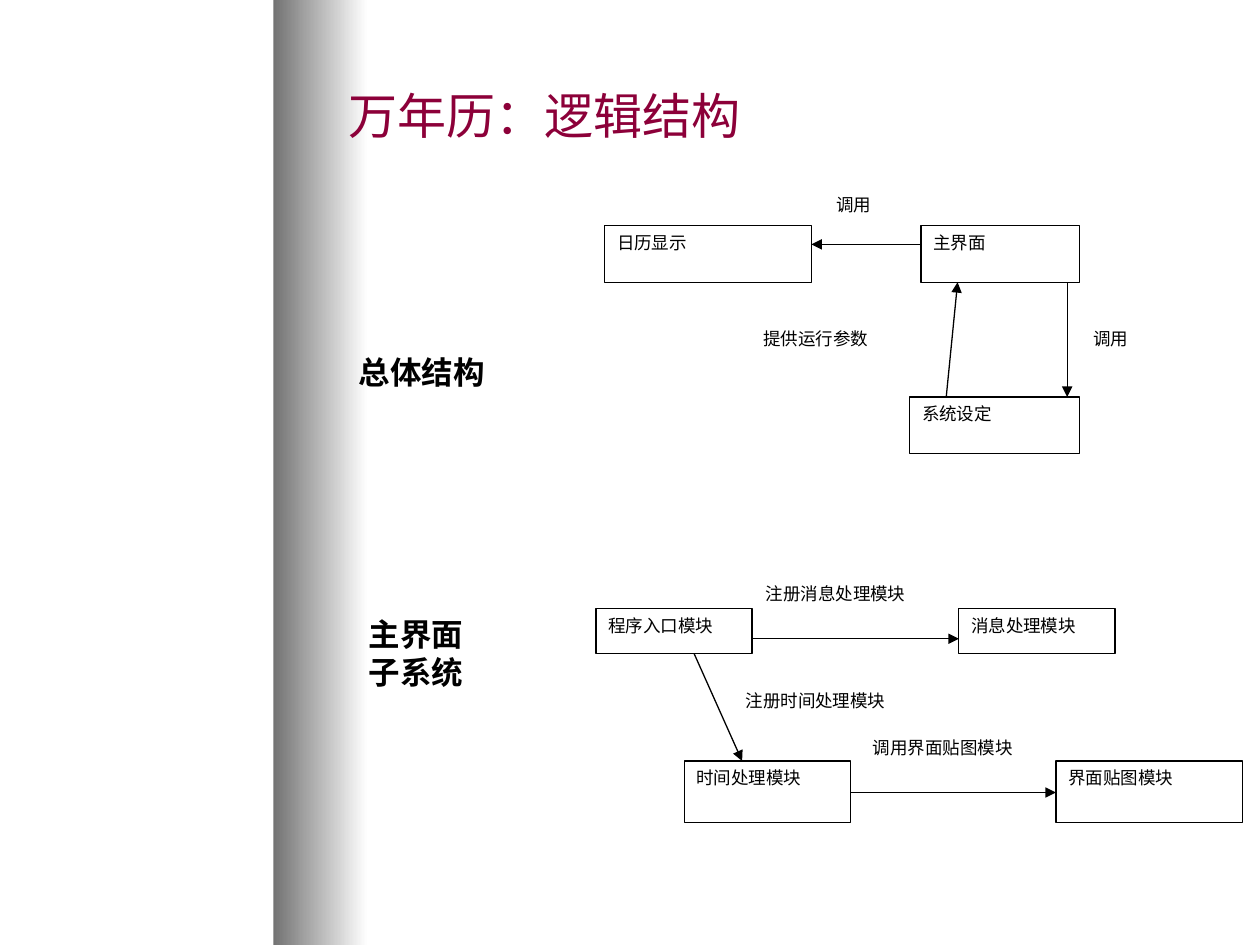
from lxml.etree import SubElement
from pptx import Presentation
from pptx.dml.color import RGBColor
from pptx.enum.shapes import MSO_CONNECTOR, MSO_SHAPE
from pptx.enum.text import MSO_ANCHOR, PP_ALIGN
from pptx.oxml.ns import qn
from pptx.util import Inches, Pt

COLORS = {"title": "8C0039", "ink": "000000", "paper": "FFFFFF", "shade": "737373"}

# Parts of each diagram, in inches from its top left corner
OVERALL_STRUCTURE = {
    "boxes": [
        ("主界面", (2.51, 0.3, 1.26, 0.45)),
        ("日历显示", (0, 0.3, 1.64, 0.45)),
        ("系统设定", (2.42, 1.66, 1.35, 0.45)),
    ],
    "arrows": [
        ((2.71, 1.66), (2.8, 0.75)),
        ((3.67, 0.75), (3.67, 1.66)),
        ((2.51, 0.45), (1.64, 0.45)),
    ],
    "labels": [
        ("提供运行参数", (1.16, 1.06, 1.45, 0.45)),
        ("调用", (3.78, 1.06, 0.68, 0.45)),
        ("调用", (1.74, 0, 0.68, 0.43)),
    ],
}
MAIN_SUBSYSTEM = {
    "boxes": [
        ("程序入口模块", (0, 0.25, 1.24, 0.36)),
        ("消息处理模块", (2.88, 0.25, 1.24, 0.36)),
        ("界面贴图模块", (3.65, 1.46, 1.48, 0.49)),
        ("时间处理模块", (0.7, 1.46, 1.32, 0.49)),
    ],
    "arrows": [
        ((1.24, 0.49), (2.88, 0.49)),
        ((0.78, 0.61), (1.16, 1.46)),
        ((2.02, 1.71), (3.65, 1.71)),
    ],
    "labels": [
        ("注册消息处理模块", (1.25, 0, 1.48, 0.47)),
        ("注册时间处理模块", (1.09, 0.85, 1.48, 0.49)),
        ("调用界面贴图模块", (2.1, 1.22, 1.48, 0.36)),
    ],
}


def color(name):
    return RGBColor.from_string(COLORS[name])


def write(shape, text, size, font, color_name="ink", bold=False):
    """Fill a shape with one paragraph and return that paragraph."""
    text_frame = shape.text_frame
    text_frame.word_wrap = True
    text_frame.text = text
    paragraph = text_frame.paragraphs[0]
    run_font = paragraph.runs[0].font
    run_font.size, run_font.name, run_font.bold = Pt(size), font, bold
    run_font.color.rgb = color(color_name)
    return paragraph


def add_side_band(slide, left, top, width, height):
    band = slide.shapes.add_shape(
        MSO_SHAPE.RECTANGLE, Inches(left), Inches(top), Inches(width), Inches(height))
    band.shadow.inherit = False
    band.line.fill.background()
    band.fill.gradient()
    band.fill.gradient_angle = 0
    for stop, name in zip(band.fill.gradient_stops, ("shade", "paper")):
        stop.color.rgb = color(name)


def add_title(slide, text, left, top, width, height):
    title = slide.shapes.add_textbox(
        Inches(left), Inches(top), Inches(width), Inches(height))
    title.text_frame.vertical_anchor = MSO_ANCHOR.MIDDLE
    write(title, text, 28, "Arial", "title")


def add_heading(slide, text, left, top, width, height):
    heading = slide.shapes.add_textbox(
        Inches(left), Inches(top), Inches(width), Inches(height))
    write(heading, text, 18, "Arial", bold=True).space_before = Pt(11.2)


def add_box(slide, text, left, top, width, height, outlined):
    box = slide.shapes.add_shape(
        MSO_SHAPE.RECTANGLE, Inches(left), Inches(top), Inches(width), Inches(height))
    box.shadow.inherit = False
    box.fill.solid()
    box.fill.fore_color.rgb = color("paper")
    if outlined:
        box.line.color.rgb = color("ink")
        box.line.width = Pt(0.75)
    else:
        box.line.fill.background()
    box.text_frame.vertical_anchor = MSO_ANCHOR.TOP
    write(box, text, 10, "Times New Roman").alignment = PP_ALIGN.JUSTIFY


def add_arrow(slide, start_x, start_y, end_x, end_y):
    arrow = slide.shapes.add_connector(
        MSO_CONNECTOR.STRAIGHT,
        Inches(start_x), Inches(start_y), Inches(end_x), Inches(end_y))
    arrow.line.color.rgb = color("ink")
    arrow.line.width = Pt(0.75)
    SubElement(arrow.line._get_or_add_ln(), qn("a:tailEnd"), type="triangle")
    SubElement(arrow._element.spPr, qn("a:effectLst"))


def add_diagram(slide, diagram, left, top):
    """Labels go first, so that no arrow or outline is covered by them."""
    def add_boxes(parts, outlined):
        for text, (x, y, width, height) in parts:
            add_box(slide, text, left + x, top + y, width, height, outlined)

    add_boxes(diagram["labels"], False)
    add_boxes(diagram["boxes"], True)
    for (start_x, start_y), (end_x, end_y) in diagram["arrows"]:
        add_arrow(slide, left + start_x, top + start_y, left + end_x, top + end_y)


def main():
    presentation = Presentation()
    presentation.slide_width, presentation.slide_height = Inches(10), Inches(7.5)
    slide = presentation.slides.add_slide(presentation.slide_layouts[6])
    slide.background.fill.solid()
    slide.background.fill.fore_color.rgb = color("paper")

    add_side_band(slide, 2.17, 0, 0.75, 7.5)
    add_title(slide, "万年历：逻辑结构", 2.67, 0.25, 7, 1.33)
    add_diagram(slide, OVERALL_STRUCTURE, 4.8, 1.49)
    add_diagram(slide, MAIN_SUBSYSTEM, 4.73, 4.58)
    add_heading(slide, "总体结构", 2.75, 2.75, 1.67, 0.4)
    add_heading(slide, "主界面子系统", 2.83, 4.83, 1.08, 0.7)

    presentation.save("out.pptx")


if __name__ == "__main__":
    main()
